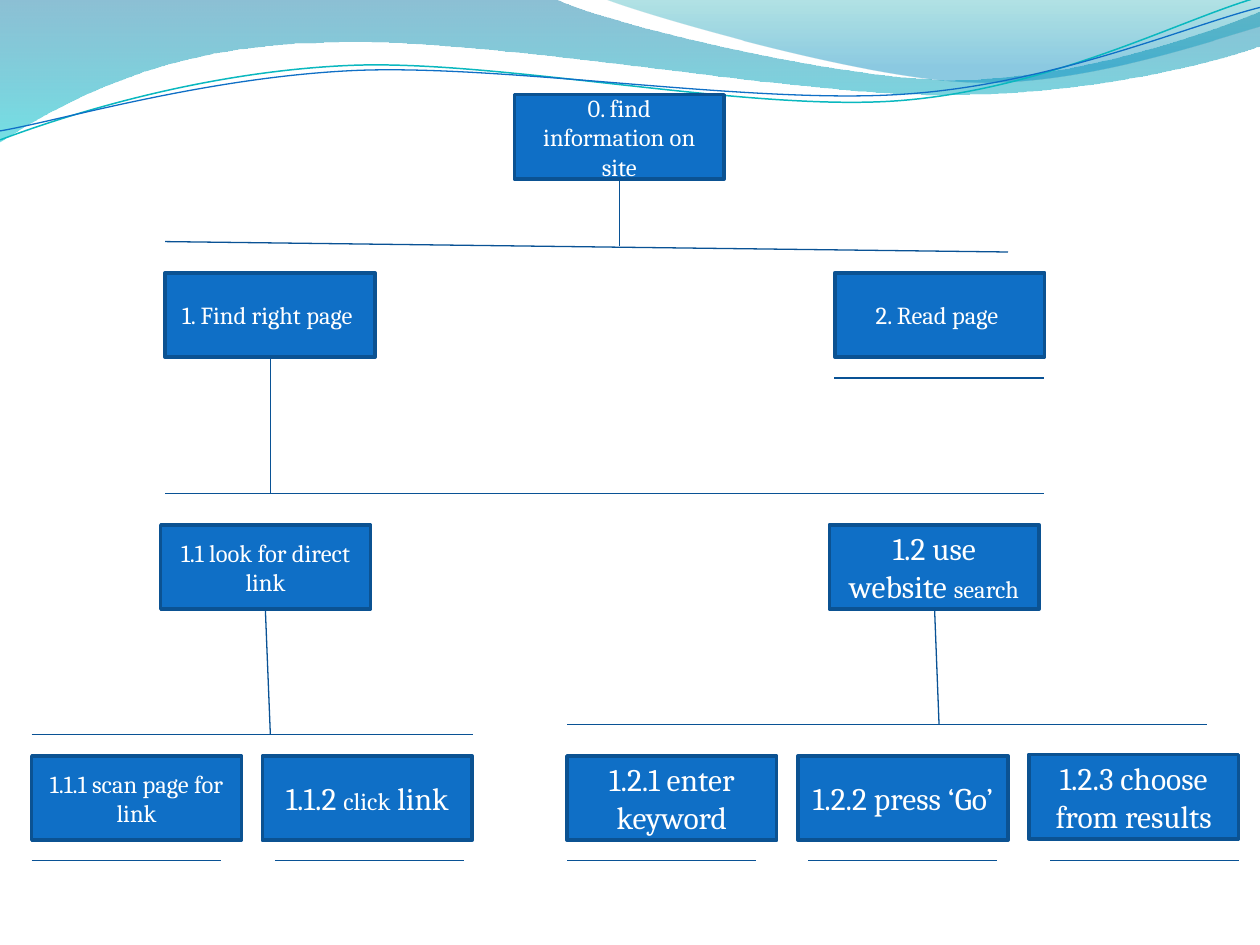
from math import cos, radians, sin
from typing import NamedTuple

from lxml.etree import Element, SubElement
from pptx import Presentation
from pptx.dml.color import RGBColor
from pptx.enum.shapes import MSO_CONNECTOR, MSO_SHAPE
from pptx.enum.text import MSO_ANCHOR, PP_ALIGN
from pptx.oxml.ns import qn
from pptx.util import Cm, Pt

COLORS = {
    "box": "0F6FC6",
    "border": "0B5292",
    "branch": "095295",
    "text": "FFFFFF",
    "teal_line": "0AB8BF",
    "deep_blue": "0074A1",
    "aqua": "00C6CF",
    "teal": "00A1A9",
    "blue": "008BBF",
}
FONT = "Cambria"
BOX_WIDTH, BOX_HEIGHT = 4.23, 1.7
UNDERLINE_WIDTH, UNDERLINE_TOP = 3.81, 17.35
WAVE_CENTER = (12.69, 1.47)
WAVE_TILT = -2.7
SMALL, LARGE = 14, 18


class Task(NamedTuple):
    left: float
    top: float
    runs: tuple


class Branch(NamedTuple):
    x1: float
    y1: float
    x2: float
    y2: float


class Stop(NamedTuple):
    position: float
    color: str
    opacity: int


class Wave(NamedTuple):
    start: tuple
    steps: tuple
    stops: tuple = ()
    color: str = ""
    width: float = 0
    tilt: float = 0


WAVES = (
    Wave(
        (0, -0.03),
        (
            (11.18, -0.03),
            (12.09, 0.43, 16.87, 1.6, 19.25, 1.6),
            (21.67, 1.6, 24.33, 0.66, 25.4, 0.23),
            (25.43, 0.91),
            (24.97, 1.12, 22.1, 1.93, 18.95, 1.91),
            (15.8, 1.91, 9.7, 0.71, 6.53, 0.86),
            (3.28, 0.89, 1.17, 2.11, -0.03, 2.87),
            (0, -0.03),
        ),
        stops=(Stop(0, "deep_blue", 45), Stop(1, "aqua", 55)),
    ),
    Wave(
        (12.17, -0.03),
        (
            (12.93, 0.28, 17.32, 1.57, 19.53, 1.65),
            (21.74, 1.75, 24.41, 0.81, 25.4, 0.53),
            (25.4, 0),
            (12.17, -0.03),
        ),
        stops=(Stop(0, "teal", 30), Stop(0.8, "blue", 45)),
    ),
    Wave(
        (0, 2.82),
        (
            (1.22, 2.36, 4.01, 1.45, 7.04, 1.32),
            (10.03, 1.19, 15.06, 2.26, 18.11, 2.03),
            (21.16, 1.8, 23.83, 0.38, 25.35, -0.05),
        ),
        color="teal_line",
        width=0.85,
        tilt=WAVE_TILT,
    ),
    Wave(
        (0, 2.64),
        (
            (1.19, 2.44, 4.17, 1.55, 7.19, 1.42),
            (10.24, 1.3, 15.16, 2.11, 18.21, 1.9),
            (21.23, 1.7, 23.9, 0.53, 25.4, 0.15),
        ),
        color="box",
        width=0.75,
        tilt=WAVE_TILT,
    ),
)

TASKS = (
    Task(16.83, 5.5, (("2. Read page ", SMALL),)),
    Task(3.33, 5.5, (("1. Find right page ", SMALL),)),
    Task(16.72, 10.58, (("1.2 use website ", LARGE), ("search", SMALL))),
    Task(3.24, 10.58, (("1.1 look for direct link", SMALL),)),
    Task(20.74, 15.21, (("1.2.3 choose from results", LARGE),)),
    Task(16.09, 15.24, (("1.2.2 press ‘Go’", LARGE),)),
    Task(11.43, 15.24, (("1.2.1 enter keyword", LARGE),)),
    Task(5.29, 15.24, (("1.1.2 ", LARGE), ("click", SMALL), (" link", LARGE))),
    Task(0.64, 15.24, (("1.1.1 scan page for link", SMALL),)),
    Task(10.37, 1.91, (("0. find information on site", SMALL),)),
)

BRANCHES = (
    Branch(3.33, 4.87, 20.32, 5.08),
    Branch(12.49, 3.6, 12.49, 4.96),
    Branch(16.82, 7.62, 21.05, 7.62),
    Branch(3.33, 9.95, 21.05, 9.95),
    Branch(5.45, 7.2, 5.45, 9.95),
    Branch(0.64, 14.81, 9.53, 14.81),
    Branch(11.43, 14.6, 24.34, 14.6),
    Branch(5.35, 12.28, 5.45, 14.81),
    Branch(18.84, 12.28, 18.93, 14.6),
    *(
        Branch(left, UNDERLINE_TOP, left + UNDERLINE_WIDTH, UNDERLINE_TOP)
        for left in (0.64, 5.54, 11.43, 16.29, 21.17)
    ),
)


def rgb(name: str) -> RGBColor:
    return RGBColor.from_string(COLORS[name])


def untilt(coordinates: tuple, tilt: float) -> list:
    cosine, sine = cos(radians(-tilt)), sin(radians(-tilt))
    center_x, center_y = WAVE_CENTER
    points = []
    for x, y in zip(coordinates[::2], coordinates[1::2]):
        dx, dy = x - center_x, y - center_y
        points.append(
            (Cm(center_x + dx * cosine - dy * sine), Cm(center_y + dx * sine + dy * cosine))
        )
    return points


def draw_wave(slide, wave: Wave) -> None:
    steps = [untilt(step, wave.tilt) for step in wave.steps]
    builder = slide.shapes.build_freeform(*untilt(wave.start, wave.tilt)[0], scale=1.0)
    builder.add_line_segments([step[-1] for step in steps], close=bool(wave.stops))
    shape = builder.convert_to_shape()
    for line, step in zip(list(shape.element.spPr.iter(qn("a:lnTo"))), steps):
        if len(step) == 3:
            curve = Element(qn("a:cubicBezTo"))
            for x, y in step:
                SubElement(curve, qn("a:pt"), x=str(x - shape.left), y=str(y - shape.top))
            line.getparent().replace(line, curve)
    shape.rotation = wave.tilt
    shape.shadow.inherit = False
    if not wave.stops:
        shape.fill.background()
        shape.line.color.rgb = rgb(wave.color)
        shape.line.width = Pt(wave.width)
        return
    shape.line.fill.background()
    shape.fill.gradient()
    shape.fill.gradient_angle = 270
    for target, stop in zip(shape.fill.gradient_stops, wave.stops):
        target.position = stop.position
        target.color.rgb = rgb(stop.color)
    for element, stop in zip(shape.element.spPr.iter(qn("a:srgbClr")), wave.stops):
        SubElement(element, qn("a:alpha"), val=str(stop.opacity * 1000))


def add_text(paragraph, text: str, *, size: float, color: str = "text") -> None:
    run = paragraph.add_run()
    run.text = text
    run.font.name = FONT
    run.font.size = Pt(size)
    run.font.color.rgb = rgb(color)


def draw_task(slide, task: Task) -> None:
    box = map(Cm, (task.left, task.top, BOX_WIDTH, BOX_HEIGHT))
    shape = slide.shapes.add_shape(MSO_SHAPE.RECTANGLE, *box)
    shape.shadow.inherit = False
    shape.fill.solid()
    shape.fill.fore_color.rgb = rgb("box")
    shape.line.color.rgb = rgb("border")
    shape.line.width = Pt(2)
    shape.text_frame.word_wrap = True
    shape.text_frame.vertical_anchor = MSO_ANCHOR.MIDDLE
    paragraph = shape.text_frame.paragraphs[0]
    paragraph.alignment = PP_ALIGN.CENTER
    for text, size in task.runs:
        add_text(paragraph, text, size=size)


def draw_branch(slide, branch: Branch) -> None:
    connector = slide.shapes.add_connector(MSO_CONNECTOR.STRAIGHT, *map(Cm, branch))
    connector.line.color.rgb = rgb("branch")
    connector.line.width = Pt(0.75)
    SubElement(connector.element.spPr, qn("a:effectLst"))


def main() -> None:
    """Build the task hierarchy slide."""
    presentation = Presentation()
    presentation.slide_width, presentation.slide_height = Cm(25.4), Cm(19.05)
    slide = presentation.slides.add_slide(presentation.slide_layouts[6])
    for items, draw in ((WAVES, draw_wave), (TASKS, draw_task), (BRANCHES, draw_branch)):
        for item in items:
            draw(slide, item)
    presentation.save("out.pptx")


if __name__ == "__main__":
    main()
